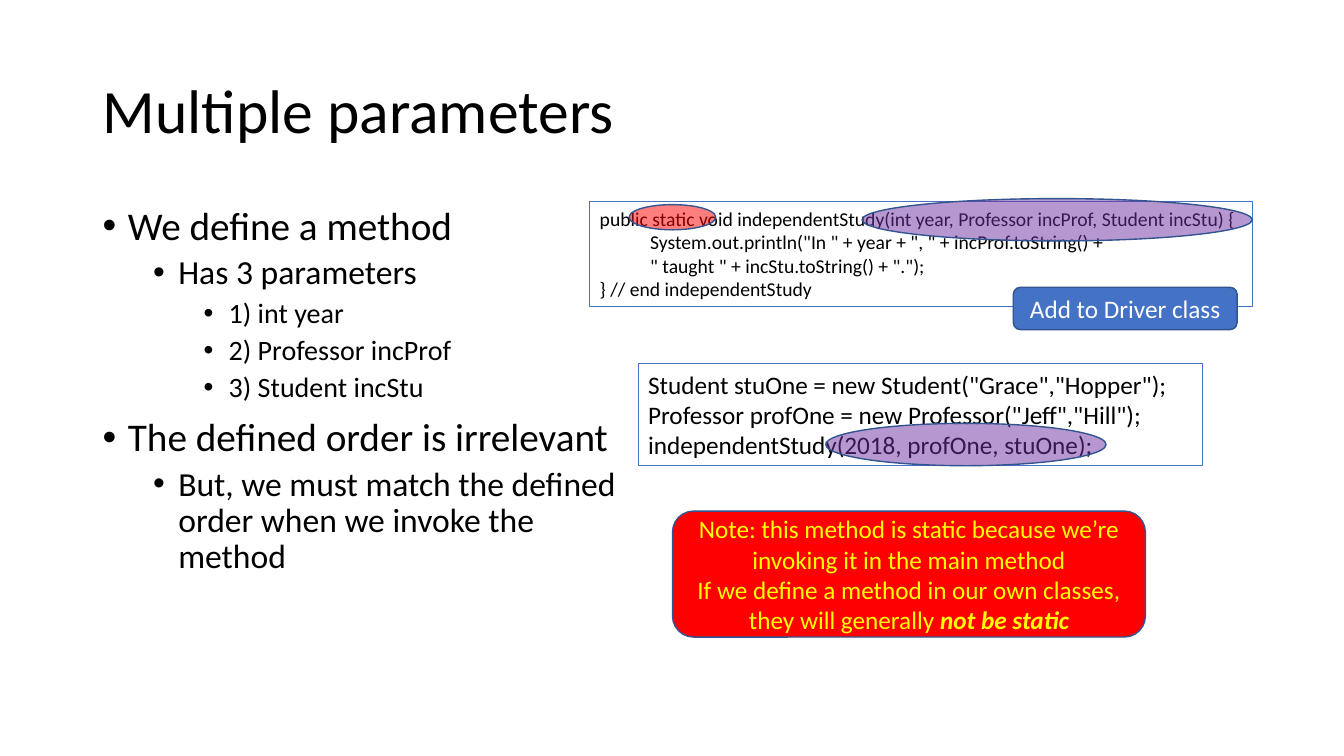
"""Build the slide about methods with multiple parameters."""
from lxml.etree import SubElement
from pptx import Presentation
from pptx.dml.color import RGBColor
from pptx.enum.shapes import MSO_SHAPE as Shape
from pptx.enum.text import MSO_ANCHOR as Anchor, MSO_AUTO_SIZE as AutoSize, PP_ALIGN as Align
from pptx.oxml.ns import qn
from pptx.util import Inches, Pt

FONT = "Calibri"
BLACK, WHITE, YELLOW = "000000", "FFFFFF", "FFFF00"
BLUE, NAVY, PURPLE, RED = "4472C4", "325491", "7030A0", "FF0000"

TITLE = "Multiple parameters"
BULLETS = [
    (0, "We define a method"),
    (1, "Has 3 parameters"),
    (2, "1) int year"),
    (2, "2) Professor incProf"),
    (2, "3) Student incStu"),
    (0, "The defined order is irrelevant"),
    (1, "But, we must match the defined order when we invoke the method"),
]
BULLET_SIZES = [28, 24, 20]
DEFINITION = [
    (0, "public static void independentStudy(int year, Professor incProf, Student incStu) {"),
    (1, 'System.out.println("In " + year + ", " + incProf.toString() +'),
    (1, '" taught " + incStu.toString() + ".");'),
    (0, "} // end independentStudy"),
]
INVOCATION = [
    (0, 'Student stuOne = new Student("Grace","Hopper");'),
    (0, 'Professor profOne = new Professor("Jeff","Hill");'),
    (0, "independentStudy(2018, profOne, stuOne);"),
]
CODE_BOXES = [
    ((5.85, 2, 6.57, 1.04), DEFINITION, 14, False),
    ((6.33, 3.61, 5.6, 1.01), INVOCATION, 18, True),
]
DRIVER = [[("Add to Driver class", False)]]
NOTE = [
    [("Note: this method is static because we’re invoking it in the main method", False)],
    [("If we define a method in our own classes, they will generally ", False),
     ("not be static", True)],
]
SHAPES = [
    (Shape.ROUNDED_RECTANGLE, (10.05, 2.85, 2.22, 0.42), BLUE, None, DRIVER, WHITE),
    (Shape.OVAL, (8.55, 1.97, 3.87, 0.42), PURPLE, 50, [], None),
    (Shape.OVAL, (8.19, 4.2, 2.78, 0.42), PURPLE, 50, [], None),
    (Shape.ROUNDED_RECTANGLE, (6.67, 5.07, 4.69, 1.25), RED, None, NOTE, YELLOW),
    (Shape.OVAL, (6.24, 2.03, 0.86, 0.25), RED, 50, [], None),
]


def paint(color_format, value):
    color_format.rgb = RGBColor.from_string(value)


def set_font(para, size, color):
    para.font.name = FONT
    para.font.size = Pt(size)
    paint(para.font.color, color)


def indent(para, left, first=0):
    props = para._p.get_or_add_pPr()
    props.set("marL", str(Inches(left)))
    props.set("indent", str(Inches(first)))
    return props


def paragraphs(frame, count):
    for _ in range(count - 1):
        frame.add_paragraph()
    return frame.paragraphs


def add_title(page):
    title = page.shapes.title
    title.left, title.top, title.width, title.height = map(Inches, (0.92, 0.4, 11.5, 1.45))
    frame = title.text_frame
    frame.text = TITLE
    frame.auto_size = AutoSize.NONE
    frame.vertical_anchor = Anchor.MIDDLE
    para = frame.paragraphs[0]
    para.alignment = Align.LEFT
    para.line_spacing = 0.9
    set_font(para, 44, BLACK)


def add_bullets(page):
    frame = page.shapes.add_textbox(*map(Inches, (0.92, 2, 5.42, 4.76))).text_frame
    frame.word_wrap = True
    for para, (level, text) in zip(paragraphs(frame, len(BULLETS)), BULLETS):
        para.text = text
        para.level = level
        para.line_spacing = 0.9
        para.space_before = Pt(5 if level else 10)
        props = indent(para, 0.25 + 0.5 * level, -0.25)
        SubElement(props, qn("a:buFont"), typeface="Arial")
        SubElement(props, qn("a:buChar"), char="•")
        set_font(para, BULLET_SIZES[level], BLACK)


def add_code(page, place, lines, size, wrap):
    box = page.shapes.add_textbox(*map(Inches, place))
    paint_line(box, BLUE, 0.75)
    frame = box.text_frame
    frame.word_wrap = wrap
    frame.auto_size = AutoSize.SHAPE_TO_FIT_TEXT
    for para, (level, text) in zip(paragraphs(frame, len(lines)), lines):
        para.text = text
        para.level = level
        indent(para, 0.5 * level)
        set_font(para, size, BLACK)


def paint_line(shape, color, width):
    paint(shape.line.color, color)
    shape.line.width = Pt(width)


def add_shape(page, kind, place, fill, opacity, texts, color):
    shape = page.shapes.add_shape(kind, *map(Inches, place))
    shape.shadow.inherit = False
    shape.fill.solid()
    paint(shape.fill.fore_color, fill)
    paint_line(shape, NAVY, 1)
    if opacity:
        tint = shape._element.spPr.find(qn("a:solidFill"))[0]
        SubElement(tint, qn("a:alpha"), val=str(opacity * 1000))
    if not texts:
        return
    frame = shape.text_frame
    frame.word_wrap = True
    frame.vertical_anchor = Anchor.MIDDLE
    for para, spans in zip(paragraphs(frame, len(texts)), texts):
        para.alignment = Align.CENTER
        set_font(para, 18, color)
        for text, strong in spans:
            span = para.add_run()
            span.text = text
            if strong:
                span.font.bold = span.font.italic = True


def main():
    deck = Presentation()
    deck.slide_width, deck.slide_height = Inches(13.33), Inches(7.5)
    page = deck.slides.add_slide(deck.slide_layouts[5])
    add_title(page)
    add_bullets(page)
    for code in CODE_BOXES:
        add_code(page, *code)
    for item in SHAPES:
        add_shape(page, *item)
    deck.save("out.pptx")


if __name__ == "__main__":
    main()
